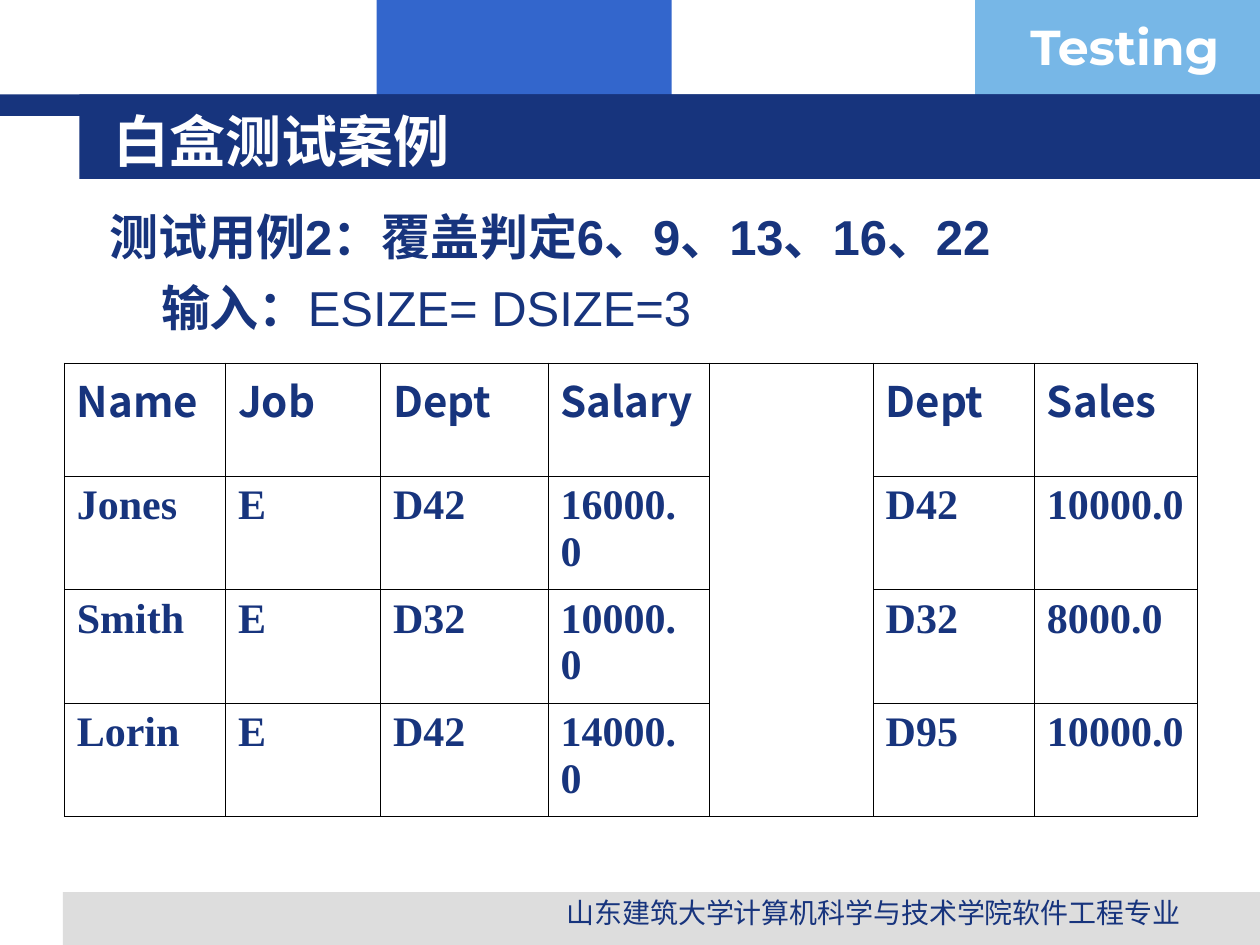
from lxml import etree
from pptx import Presentation
from pptx.dml.color import RGBColor
from pptx.enum.shapes import MSO_SHAPE
from pptx.enum.text import MSO_ANCHOR, PP_ALIGN
from pptx.oxml import parse_xml
from pptx.oxml.ns import nsdecls
from pptx.util import Inches, Pt

NAVY = RGBColor(0x17, 0x34, 0x7D)
BLUE = RGBColor(0x33, 0x66, 0xCC)
SKY = RGBColor(0x77, 0xB7, 0xE7)
GREY = RGBColor(0xDD, 0xDD, 0xDD)
WHITE = RGBColor(0xFF, 0xFF, 0xFF)
HEADING_FONT = "Noto Sans CJK SC"


def add_run(paragraph, text, **font_values):
    run = paragraph.add_run()
    run.text = text
    run._r.get_or_add_rPr().set("lang", "zh-CN")
    color = font_values.pop("color", NAVY)
    for name, value in font_values.items():
        setattr(run.font, name, value)
    run.font.color.rgb = color


def add_text_frame(left, top, width, height):
    box = slide.shapes.add_textbox(Inches(left), Inches(top), Inches(width), Inches(height))
    box.text_frame.word_wrap = True
    return box.text_frame


prs = Presentation()
prs.slide_width, prs.slide_height = Inches(10), Inches(7.5)
slide = prs.slides.add_slide(prs.slide_layouts[6])

# Bands behind the text
for left, top, width, height, color in [
    (2.99, 0, 2.34, 0.92, BLUE),
    (7.74, 0, 2.26, 0.92, SKY),
    (0.5, 7.08, 9.5, 0.42, GREY),
    (0, 0.75, 10, 0.17, NAVY),
    (0.63, 0.75, 9.37, 0.67, NAVY),
]:
    band = slide.shapes.add_shape(
        MSO_SHAPE.RECTANGLE, Inches(left), Inches(top), Inches(width), Inches(height))
    band.shadow.inherit = False
    band.fill.solid()
    band.fill.fore_color.rgb = color
    band.line.fill.background()

# Course label, footer and title
course = add_text_frame(8.08, 0.08, 1.93, 0.57)
add_run(course.paragraphs[0], "Testing", size=Pt(28), name="Montserrat", bold=True, color=WHITE)

footer = add_text_frame(4.06, 7.06, 5.75, 0.31)
footer.paragraphs[0].alignment = PP_ALIGN.CENTER
add_run(footer.paragraphs[0], "山东建筑大学计算机科学与技术学院软件工程专业", size=Pt(16), name="Arial")

title = add_text_frame(0.8, 0.8, 8.53, 0.62)
title.vertical_anchor = MSO_ANCHOR.MIDDLE
add_run(title.paragraphs[0], "白盒测试案例", size=Pt(32), name=HEADING_FONT, bold=True, color=WHITE)

# Test case description
test_case = add_text_frame(0.51, 1.55, 8.58, 1.18)
test_case.margin_top = Inches(0.09)
case_line, input_line = test_case.paragraphs[0], test_case.add_paragraph()
input_line.space_before = Pt(7)
for line, indent in [(case_line, 0.26), (input_line, 0.67)]:
    line._p.get_or_add_pPr().set("marL", str(Inches(indent)))
body_font = {"size": Pt(28), "name": "Arial"}
add_run(case_line, "测试用例2：覆盖判定6、9、13、16、22", bold=True, **body_font)
add_run(input_line, "输入：", bold=True, **body_font)
add_run(input_line, "ESIZE= DSIZE=3", bold=False, **body_font)

# Employee table and department table, parted by a merged column
GAP_COLUMN = 4
rows = [
    ["Name", "Job", "Dept", "Salary", "", "Dept", "Sales"],
    ["Jones", "E", "D42", "16000.0", "", "D42", "10000.0"],
    ["Smith", "E", "D32", "10000.0", "", "D32", "8000.0"],
    ["Lorin", "E", "D42", "14000.0", "", "D95", "10000.0"],
]
column_widths = [1.28, 1.23, 1.33, 1.28, 1.3, 1.28, 1.29]
row_heights = [0.9, 0.76, 0.63, 0.71]
records = slide.shapes.add_table(
    len(rows), len(column_widths), Inches(0.51), Inches(2.88), Inches(9.01), Inches(2.99)).table
records.first_row = records.horz_banding = False
for column, width in zip(records.columns, column_widths):
    column.width = Inches(width)
for row, height in zip(records.rows, row_heights):
    row.height = Inches(height)

for r, values in enumerate(rows):
    for c, value in enumerate(values):
        cell = records.cell(r, c)
        properties = cell._tc.get_or_add_tcPr()
        for side in ("lnL", "lnR", "lnT", "lnB"):
            border = parse_xml(f'<a:{side} {nsdecls("a")} w="{Pt(0.45)}"/>')
            fill = etree.SubElement(border, border.tag.replace(side, "solidFill"))
            etree.SubElement(fill, border.tag.replace(side, "srgbClr"), val="000000")
            properties.append(border)
        cell.fill.background()
        if value:
            font_name = "Times New Roman" if r else HEADING_FONT
            add_run(cell.text_frame.paragraphs[0], value, size=Pt(24), name=font_name, bold=True)
records.cell(0, GAP_COLUMN).merge(records.cell(len(rows) - 1, GAP_COLUMN))

prs.save("out.pptx")
